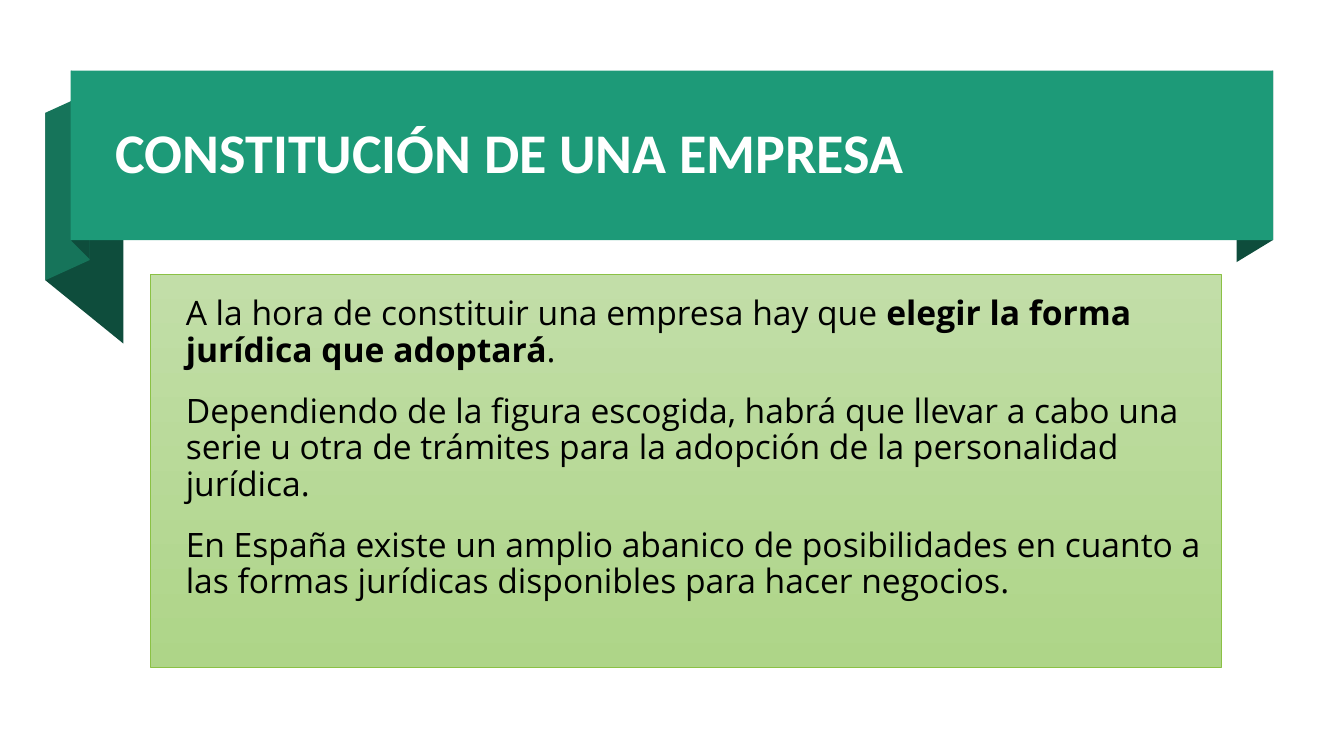
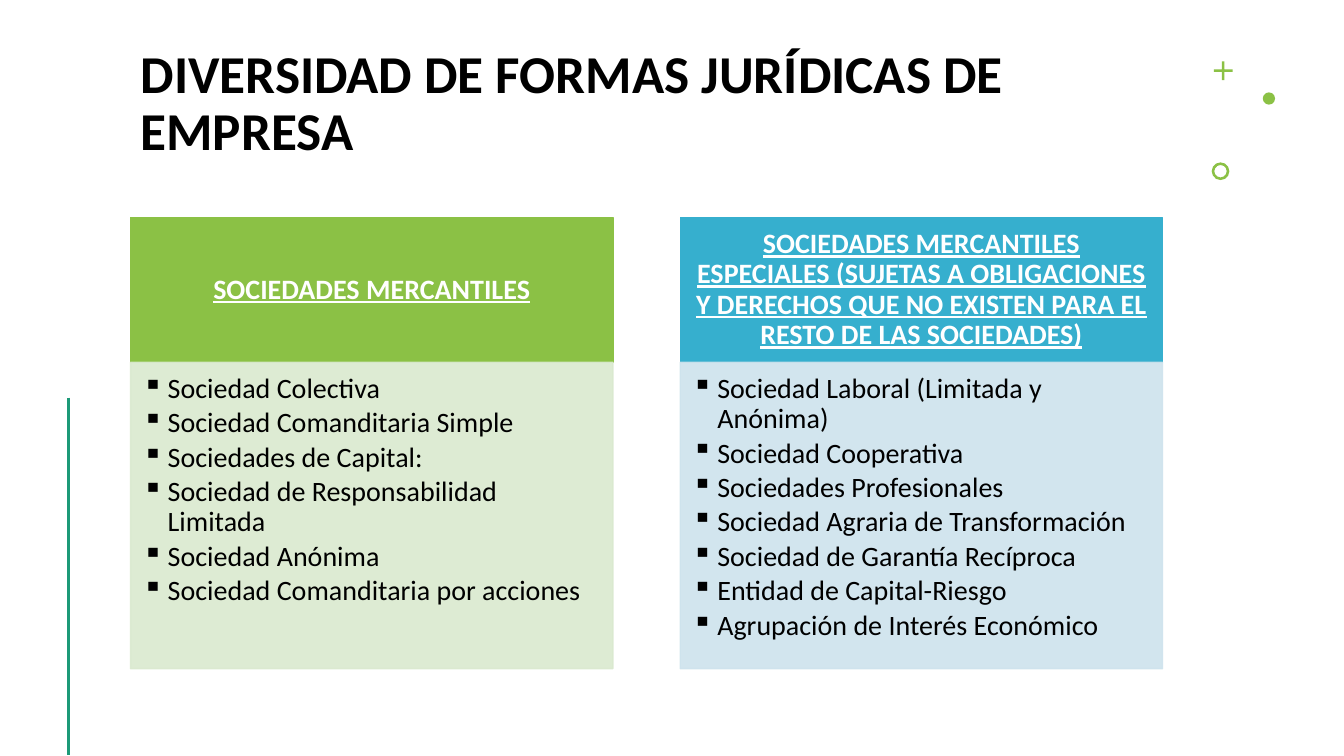
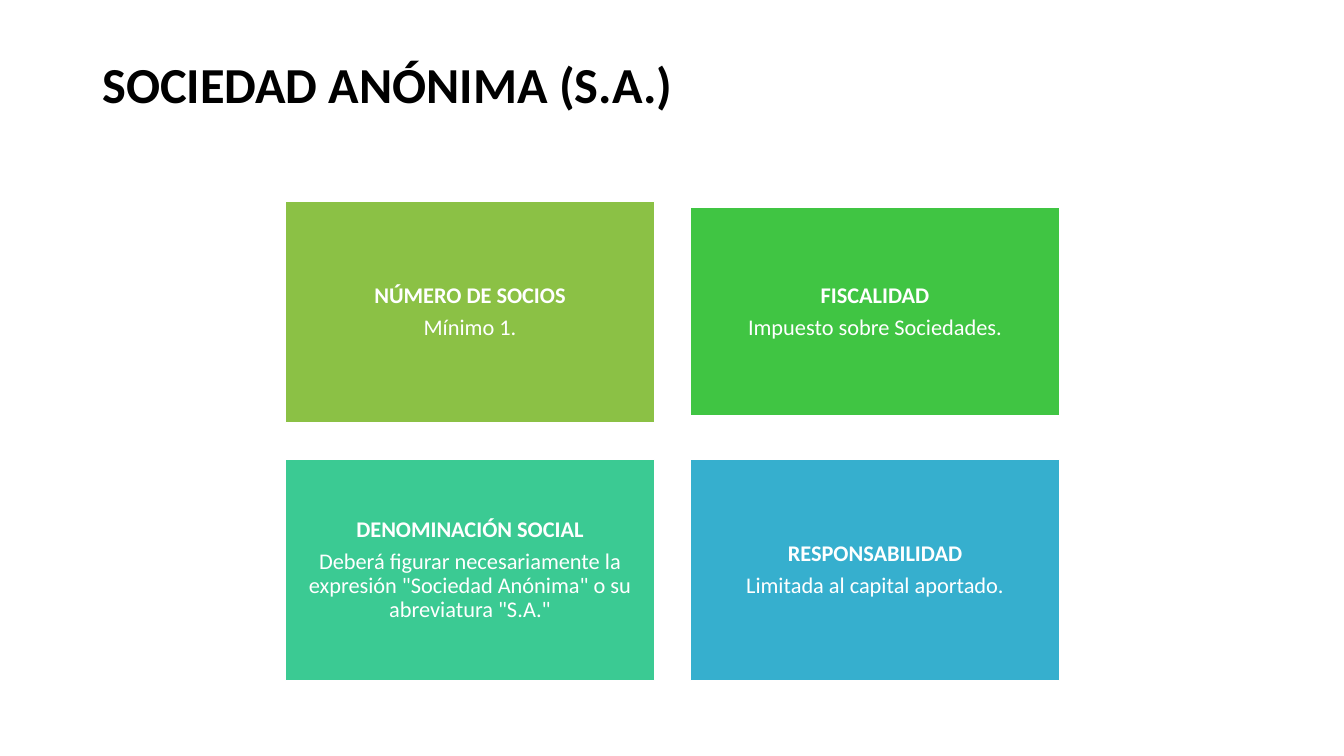
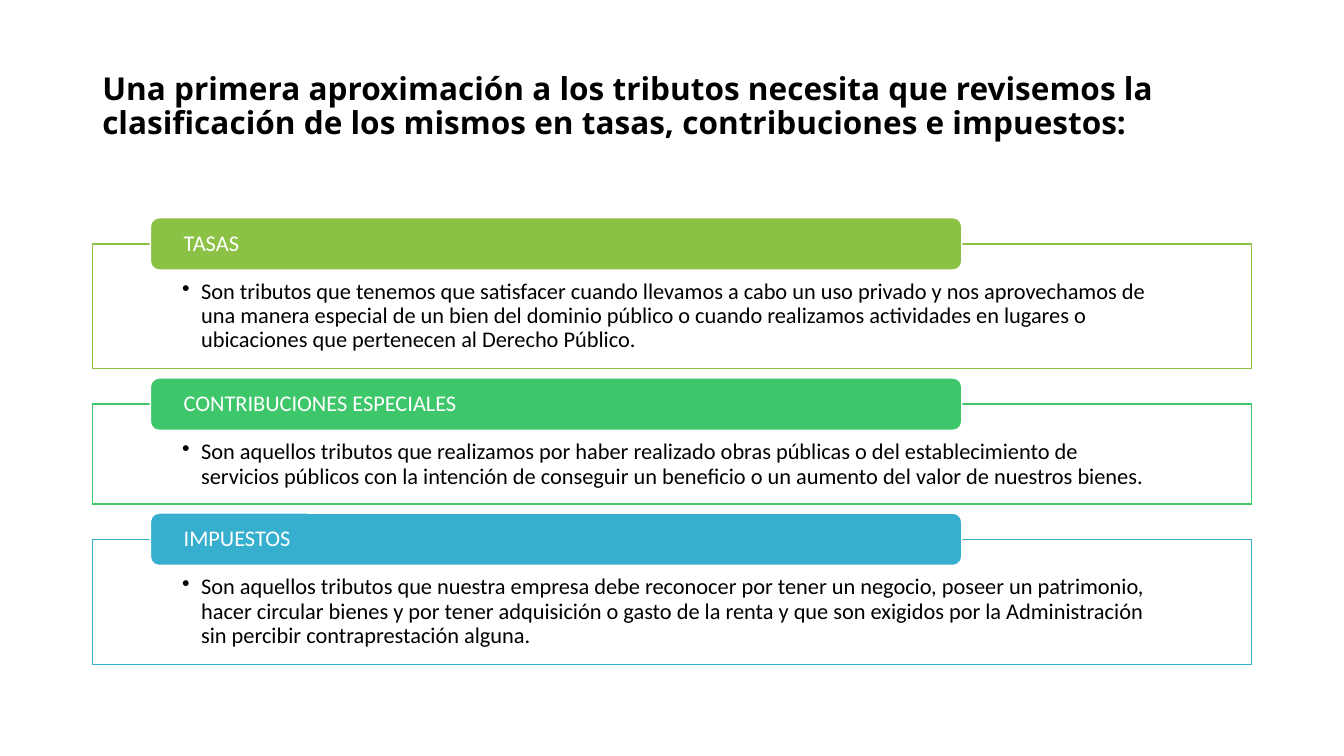
from dataclasses import dataclass
from typing import Optional

from lxml.etree import SubElement
from pptx import Presentation
from pptx.dml.color import RGBColor
from pptx.enum.shapes import MSO_CONNECTOR, MSO_SHAPE
from pptx.enum.text import MSO_ANCHOR, PP_ALIGN
from pptx.oxml.ns import qn
from pptx.shapes.autoshape import Shape
from pptx.slide import Slide
from pptx.util import Pt

COLOURS = {
    "white": "FFFFFF",
    "black": "000000",
    "teal": "1D9A78",
    "teal_mid": "16745A",
    "teal_dark": "0E4D3C",
    "lime": "8BC145",
    "lime_pale": "DAE9CF",
    "lime_top": "C2DEA8",
    "lime_bottom": "AED588",
    "green": "40C543",
    "mint": "3BCA93",
    "emerald": "3EC76A",
    "blue": "36AFCE",
    "blue_pale": "CEE3ED",
}


@dataclass(frozen=True)
class Box:
    left: float
    top: float
    width: float
    height: float

    def lengths(self) -> tuple[int, ...]:
        return tuple(Pt(v) for v in (self.left, self.top, self.width, self.height))


@dataclass(frozen=True)
class Style:
    size: float
    colour: str = "black"
    font: str = "Calibri"
    bold: bool = False
    underline: bool = False
    align: PP_ALIGN = PP_ALIGN.LEFT
    before: float = 0
    after: float = 0
    margin: float = 0
    bullet: Optional[str] = None


@dataclass(frozen=True)
class Span:
    text: str
    bold: Optional[bool] = None


@dataclass(frozen=True)
class Para:
    spans: tuple[Span, ...]
    style: Style


@dataclass(frozen=True)
class Fold:
    colour: str
    points: tuple[tuple[float, float], ...]


@dataclass(frozen=True)
class Column:
    heading: str
    items: tuple[str, ...]
    colour: str
    pale: str


@dataclass(frozen=True)
class Card:
    heading: str
    detail: str
    colour: str
    height: float = 157.7


@dataclass(frozen=True)
class Panel:
    heading: str
    detail: str
    colour: str
    height: float


DEFAULT_INSETS = (7.2, 3.6, 7.2, 3.6)
BODY = Style(24, font="Open Sans", before=10, after=8, margin=18)
COLUMN_HEAD = Style(20, "white", bold=True, underline=True, align=PP_ALIGN.CENTER)
COLUMN_ITEM = Style(20, after=3, margin=18, bullet="▪")
CARD_HEAD = Style(16, "white", bold=True, align=PP_ALIGN.CENTER, after=5.6)
CARD_DETAIL = Style(16, "white", align=PP_ALIGN.CENTER)
TAB_HEAD = Style(16, "white")
PANEL_DETAIL = Style(16, margin=13.5, bullet="•")

FOLDS = (
    Fold("teal_dark", ((88.2, 245.5), (32.4, 200.2), (32.4, 80.6), (88.2, 126))),
    Fold("teal_mid", ((64, 185.8), (32.4, 200.2), (32.4, 80.6), (64, 66.2))),
    Fold("teal_dark", ((64, 185), (51, 172), (51, 50.4), (64, 64))),
    Fold("teal_dark", ((909.4, 171.4), (883.4, 187.2), (883.4, 65.5), (909.4, 50.4))),
)

INTRODUCTION = (
    Para((Span("A la hora de constituir una empresa hay que "),
          Span("elegir la forma jurídica que adoptará", True),
          Span(".")), BODY),
    Para((Span("Dependiendo de la figura escogida, habrá que llevar a cabo una serie u otra "
               "de trámites para la adopción de la personalidad jurídica."),), BODY),
    Para((Span("En España existe un amplio abanico de posibilidades en cuanto a las formas "
               "jurídicas disponibles para hacer negocios."),), BODY),
)

COLUMNS = (
    Column("SOCIEDADES MERCANTILES",
           ("Sociedad Colectiva", "Sociedad Comanditaria Simple", "Sociedades de Capital:",
            "Sociedad de Responsabilidad Limitada", "Sociedad Anónima",
            "Sociedad Comanditaria por acciones"),
           "lime", "lime_pale"),
    Column("SOCIEDADES MERCANTILES ESPECIALES (SUJETAS A OBLIGACIONES Y DERECHOS QUE NO "
           "EXISTEN PARA EL RESTO DE LAS SOCIEDADES)",
           ("Sociedad Laboral (Limitada y Anónima)", "Sociedad Cooperativa",
            "Sociedades Profesionales", "Sociedad Agraria de Transformación",
            "Sociedad de Garantía Recíproca", "Entidad de Capital-Riesgo",
            "Agrupación de Interés Económico"),
           "blue", "blue_pale"),
)

CARDS = (
    Card("NÚMERO DE SOCIOS", "Mínimo 1.", "lime"),
    Card("FISCALIDAD", "Impuesto sobre Sociedades.", "green", 149),
    Card("DENOMINACIÓN SOCIAL",
         'Deberá figurar necesariamente la expresión "Sociedad Anónima" o su abreviatura "S.A."',
         "mint"),
    Card("RESPONSABILIDAD", "Limitada al capital aportado.", "blue"),
)

PANELS = (
    Panel("TASAS",
          "Son tributos que tenemos que satisfacer cuando llevamos a cabo un uso privado y nos "
          "aprovechamos de una manera especial de un bien del dominio público o cuando "
          "realizamos actividades en lugares o ubicaciones que pertenecen al Derecho Público.",
          "lime", 89.3),
    Panel("CONTRIBUCIONES ESPECIALES",
          "Son aquellos tributos que realizamos por haber realizado obras públicas o del "
          "establecimiento de servicios públicos con la intención de conseguir un beneficio o "
          "un aumento del valor de nuestros bienes.",
          "emerald", 71.3),
    Panel("IMPUESTOS",
          "Son aquellos tributos que nuestra empresa debe reconocer por tener un negocio, poseer "
          "un patrimonio, hacer circular bienes y por tener adquisición o gasto de la renta y que "
          "son exigidos por la Administración sin percibir contraprestación alguna.",
          "blue", 89.3),
)


def rgb(name: str) -> RGBColor:
    return RGBColor.from_string(COLOURS[name])


def plain(text: str, style: Style) -> Para:
    return Para((Span(text),), style)


def paint(shape: Shape, fill: str, line: Optional[str] = None) -> None:
    shape.shadow.inherit = False
    shape.fill.solid()
    shape.fill.fore_color.rgb = rgb(fill)
    if line:
        shape.line.color.rgb = rgb(line)
        shape.line.width = Pt(1)
    else:
        shape.line.fill.background()


def add_box(page: Slide, box: Box, fill: str, line: Optional[str] = None,
            kind: MSO_SHAPE = MSO_SHAPE.RECTANGLE) -> Shape:
    shape = page.shapes.add_shape(kind, *box.lengths())
    paint(shape, fill, line)
    return shape


def set_opacity(shape: Shape, percent: int) -> None:
    for colour in list(shape.element.spPr.iter(qn("a:srgbClr"))):
        SubElement(colour, qn("a:alpha")).set("val", str(percent * 1000))


def write(shape: Shape, paras: tuple[Para, ...], anchor: MSO_ANCHOR = MSO_ANCHOR.MIDDLE,
          insets: tuple[float, ...] = DEFAULT_INSETS) -> None:
    frame = shape.text_frame
    frame.word_wrap = True
    frame.vertical_anchor = anchor
    (frame.margin_left, frame.margin_top,
     frame.margin_right, frame.margin_bottom) = (Pt(inset) for inset in insets)
    for index, para in enumerate(paras):
        style = para.style
        paragraph = frame.paragraphs[0] if index == 0 else frame.add_paragraph()
        paragraph.alignment = style.align
        paragraph.line_spacing = 0.9
        if index and style.before:
            paragraph.space_before = Pt(style.before)
        paragraph.space_after = Pt(style.after)
        properties = paragraph._p.get_or_add_pPr()
        properties.set("marL", str(Pt(style.margin)))
        if style.bullet:
            properties.set("indent", str(-Pt(style.margin)))
            SubElement(properties, qn("a:buChar")).set("char", style.bullet)
        font = paragraph.font
        font.name = style.font
        font.size = Pt(style.size)
        font.bold = style.bold
        font.underline = style.underline
        font.color.rgb = rgb(style.colour)
        for span in para.spans:
            run = paragraph.add_run()
            run.text = span.text
            if span.bold is not None:
                run.font.bold = span.bold


def add_title(page: Slide, box: Box, text: str, size: float, colour: str = "black",
              font: str = "Calibri", anchor: MSO_ANCHOR = MSO_ANCHOR.MIDDLE,
              insets: tuple[float, ...] = DEFAULT_INSETS) -> None:
    title = page.shapes.add_textbox(*box.lengths())
    write(title, (plain(text, Style(size, colour, font, bold=True)),), anchor, insets)


def draw_constitution(page: Slide) -> None:
    for fold in FOLDS:
        start, *others = [(Pt(x), Pt(y)) for x, y in fold.points]
        builder = page.shapes.build_freeform(*start)
        builder.add_line_segments(others, close=True)
        paint(builder.convert_to_shape(), fold.colour)
    add_box(page, Box(50.4, 50.4, 859, 121.2), "teal")
    add_title(page, Box(75.6, 63.4, 808.6, 95.8), "CONSTITUCIÓN DE UNA EMPRESA", 40, "white")

    body = add_box(page, Box(107.6, 196, 764.6, 280.6), "lime_top", "lime")
    body.line.width = Pt(0.5)
    body.fill.gradient()
    body.fill.gradient_angle = 270
    for stop, colour in zip(body.fill.gradient_stops, ("lime_top", "lime_bottom")):
        stop.color.rgb = rgb(colour)
    write(body, INTRODUCTION, MSO_ANCHOR.TOP, (7.2, 16, 7.2, 3.6))


def draw_diversity(page: Slide) -> None:
    left, top, width, pitch = 93.3, 155.5, 344.5, 392.6
    head_height, list_height = 103.3, 218.9
    add_title(page, Box(left, 30.2, 736.6, 94.3),
              "DIVERSIDAD DE FORMAS JURÍDICAS DE EMPRESA", 38, anchor=MSO_ANCHOR.TOP)

    plus = add_box(page, Box(867, 43.8, 13.4, 13.4), "lime", kind=MSO_SHAPE.CROSS)
    plus.adjustments[0] = 0.43
    add_box(page, Box(902, 66, 8.8, 8.8), "lime", kind=MSO_SHAPE.OVAL)
    ring = add_box(page, Box(865.5, 116, 12.6, 12.6), "lime", kind=MSO_SHAPE.DONUT)
    ring.adjustments[0] = 0.15

    rule = page.shapes.add_connector(MSO_CONNECTOR.STRAIGHT, Pt(49), Pt(284), Pt(49), Pt(539.5))
    rule.line.color.rgb = rgb("teal")
    rule.line.width = Pt(2)
    SubElement(rule._element.spPr, qn("a:effectLst"))

    for index, column in enumerate(COLUMNS):
        x = left + index * pitch
        head = add_box(page, Box(x, top, width, head_height), column.colour, column.colour)
        write(head, (plain(column.heading, COLUMN_HEAD),), insets=(11.2, 6.4, 11.2, 6.4))
        listing = add_box(page, Box(x, top + head_height, width, list_height),
                          column.pale, column.pale)
        set_opacity(listing, 90)
        write(listing, tuple(plain(item, COLUMN_ITEM) for item in column.items),
              MSO_ANCHOR.TOP, (8.5, 8.5, 11.4, 12.8))


def draw_company(page: Slide) -> None:
    add_title(page, Box(66, 28.8, 828, 67), "SOCIEDAD ANÓNIMA (S.A.)", 36)
    left, middle, width = 204, 222.8, 263.5
    for index, card in enumerate(CARDS):
        row, column = divmod(index, 2)
        box = Box(left + column * 289.3, middle + row * 184.4 - card.height / 2,
                  width, card.height)
        shape = add_box(page, box, card.colour, "white")
        write(shape, (plain(card.heading, CARD_HEAD), plain(card.detail, CARD_DETAIL)),
              insets=(4.8,) * 4)


def draw_taxes(page: Slide) -> None:
    left, width, gap = 66, 828, 25.2
    add_title(page, Box(left, 43.9, width, 89.3),
              "Una primera aproximación a los tributos necesita que revisemos la clasificación "
              "de los mismos en tasas, contribuciones e impuestos:",
              22.5, font="Open Sans", insets=(7.2, 3.6, 7.2, 28))
    top = 174.2
    for panel in PANELS:
        frame = add_box(page, Box(left, top, width, panel.height), "white", panel.colour)
        write(frame, (plain(panel.detail, PANEL_DETAIL),), MSO_ANCHOR.TOP, (64.2, 26, 64.2, 8.6))
        tab = add_box(page, Box(107.4, top - 18.7, 579.6, 37.4), panel.colour, "white",
                      MSO_SHAPE.ROUNDED_RECTANGLE)
        write(tab, (plain(panel.heading, TAB_HEAD),), insets=(22, 0, 22, 0))
        top += panel.height + gap


def main() -> None:
    deck = Presentation()
    deck.slide_width, deck.slide_height = Pt(960), Pt(540)
    for draw in (draw_constitution, draw_diversity, draw_company, draw_taxes):
        draw(deck.slides.add_slide(deck.slide_layouts[6]))
    deck.save("out.pptx")


if __name__ == "__main__":
    main()
